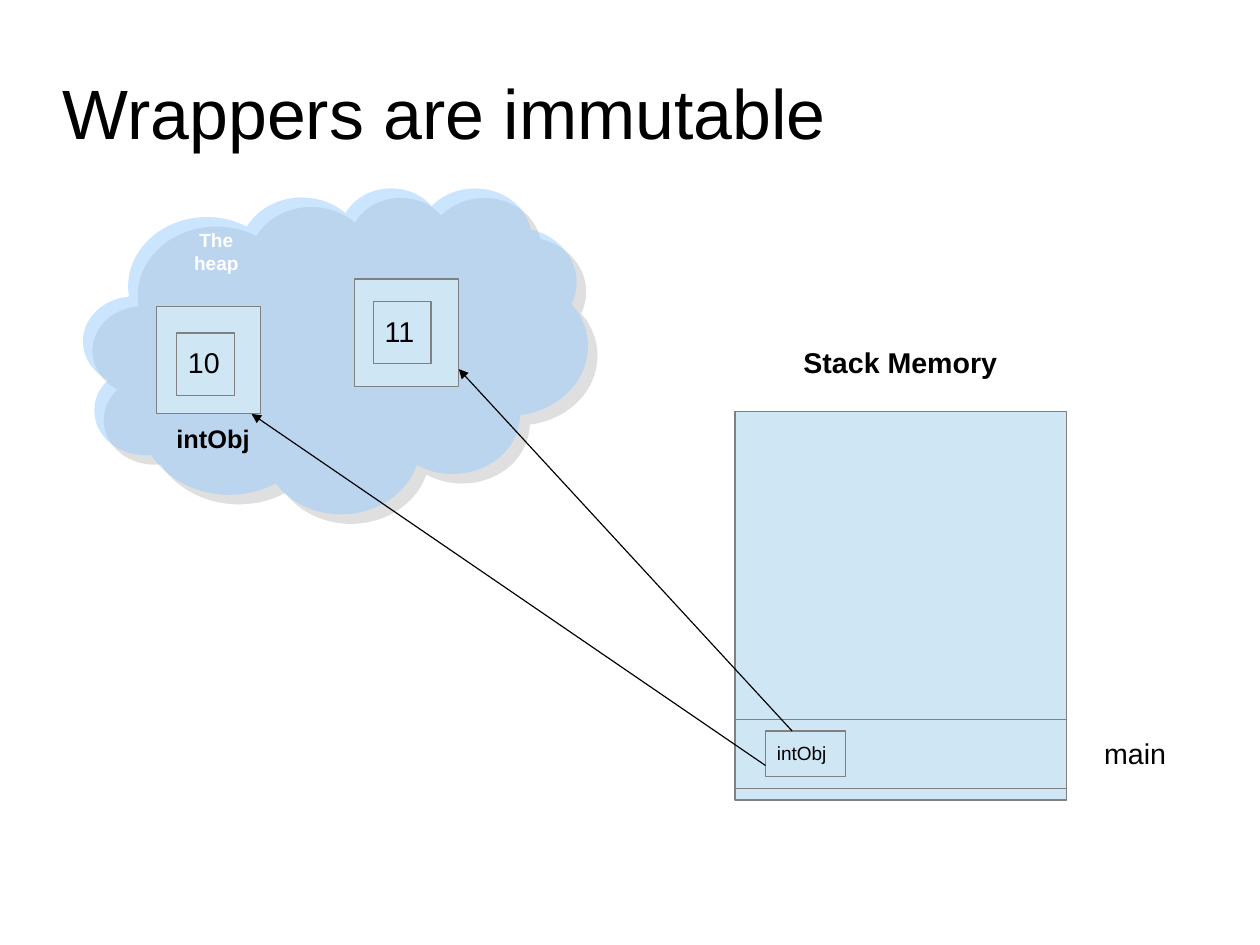
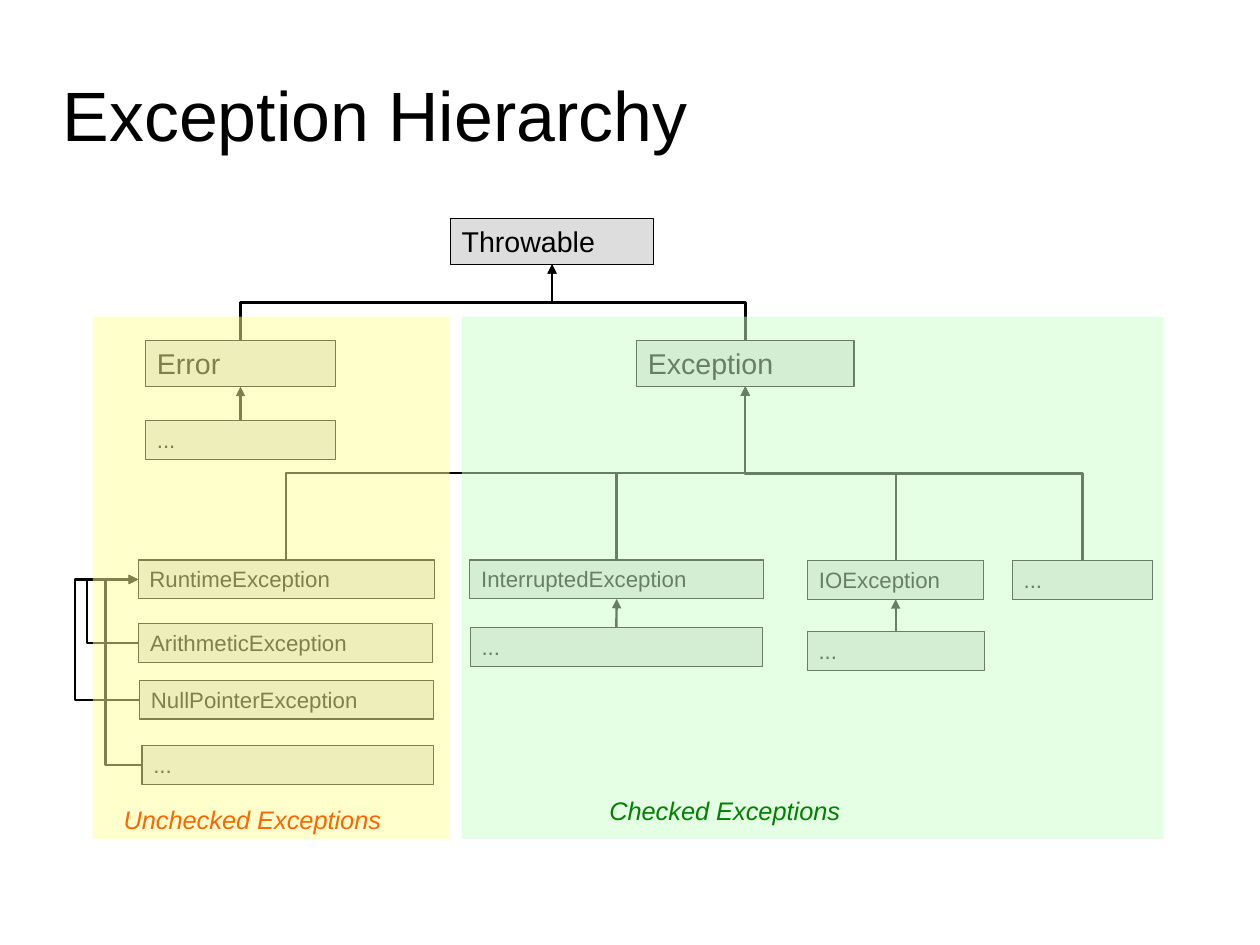
from dataclasses import dataclass

from lxml.etree import SubElement
from pptx import Presentation
from pptx.dml.color import RGBColor
from pptx.enum.shapes import MSO_CONNECTOR, MSO_SHAPE
from pptx.enum.text import MSO_ANCHOR, PP_ALIGN
from pptx.oxml.ns import qn
from pptx.util import Pt


@dataclass(frozen=True)
class Theme:
    font: str = "Arial"
    ink: str = "000000"
    white: str = "FFFFFF"
    memory: str = "CFE7F5"
    memory_edge: str = "808080"
    cloud: str = "99CCFF"
    cloud_shadow: str = "C0C0C0"
    class_box: str = "DDDDDD"
    unchecked: str = "FFFF99"
    checked: str = "CCFFCC"
    unchecked_text: str = "FF6600"
    checked_text: str = "008000"
    title: int = 44
    large: int = 18
    label: int = 16
    medium: int = 14
    small: int = 12
    thin: float = 0.75
    thick: float = 1.5
    tight: float = 0.93


THEME = Theme()
INSETS = (7.2, 3.6, 7.2, 3.6)
FLUSH = (0, 3.6, 0, 3.6)

# Content: boxes are (left, top, width, height) in points
SLIDE_SIZE = (793.7, 595.28)
TITLE_BOX = (39.5, 23.5, 714.25, 99.25)

HEAP_CLOUD = (52.5, 118, 317.75, 205.25)
STACK = (463, 259.25, 209, 244.75)
MAIN_FRAME = (463, 453.5, 209, 43.25)
HEAP_OBJECTS = [(98.75, 193), (223.5, 175.75)]
HEAP_OBJECT_SIZE = (65.5, 67.75)
HEAP_VALUES = [("10", (111.25, 209.75)), ("11", (235.25, 189.75))]
HEAP_VALUE_SIZE = (36.25, 39.5)
VARIABLE = ("intObj", (482.25, 460.5, 50.5, 28.75))
REFERENCES = [((482.25, 482.25), (158.5, 260.75)),
              ((499, 460.5), (289, 232.5))]
HEAP_LABELS = [("The heap", (112.25, 140.5, 48, 36), THEME.small, THEME.white),
               ("intObj", (87, 263, 94.5, 26.5), THEME.label, THEME.ink)]
STACK_LABELS = [("Stack Memory", (499, 216, 142, 27.5), True),
                ("main", (688.5, 462.25, 56, 27.5), False)]

LARGE_HEIGHT, SMALL_HEIGHT = 29, 24.5
# key: (text, left, top, width, height)
CLASSES = {
    "throwable": ("Throwable", 283.75, 137.5, 128, LARGE_HEIGHT),
    "error": ("Error", 91.75, 214.5, 119.5, LARGE_HEIGHT),
    "exception": ("Exception", 401, 214.5, 137, LARGE_HEIGHT),
    "error_more": ("...", 91.75, 264.75, 119.5, SMALL_HEIGHT),
    "runtime": ("RuntimeException", 87, 352.75, 186.5, SMALL_HEIGHT),
    "arithmetic": ("ArithmeticException", 87.5, 392.75, 185, SMALL_HEIGHT),
    "null_pointer": ("NullPointerException", 88, 428.5, 185, SMALL_HEIGHT),
    "runtime_more": ("...", 89.5, 469.75, 183.5, SMALL_HEIGHT),
    "interrupted": ("InterruptedException", 296, 352.75, 185, SMALL_HEIGHT),
    "interrupted_more": ("...", 296.25, 395.25, 184, SMALL_HEIGHT),
    "io": ("IOException", 508.75, 353, 111, SMALL_HEIGHT),
    "io_more": ("...", 508.5, 398, 111.5, SMALL_HEIGHT),
    "exception_more": ("...", 637.75, 353, 88.5, SMALL_HEIGHT),
}
TREE_LINKS = [("error", "throwable"), ("exception", "throwable"),
              ("runtime", "exception"), ("interrupted", "exception"),
              ("io", "exception"), ("exception_more", "exception")]
DIRECT_LINKS = [("error_more", "error"), ("interrupted_more", "interrupted"),
                ("io_more", "io")]
# subclass of RuntimeException: x of the lane its arrow runs along
SIDE_LANES = {"arithmetic": 55.5, "null_pointer": 46.75, "runtime_more": 66.5}
PANELS = [((58.5, 199.5, 224.75, 329), THEME.unchecked),
          ((291, 199.5, 442, 329), THEME.checked)]
PANEL_LABELS = [
    ("Checked Exceptions", (376.75, 497.5, 232.5, 26.5), THEME.checked_text),
    ("Unchecked Exceptions", (70.75, 503.25, 232.5, 26.5), THEME.unchecked_text),
]


# Drawing helpers
def points(values):
    return [Pt(value) for value in values]


def write(shape, text, size, color=THEME.ink, insets=INSETS, wrap=True,
          anchor=MSO_ANCHOR.TOP, align=PP_ALIGN.LEFT, spacing=None,
          bold=False, italic=False):
    frame = shape.text_frame
    frame.word_wrap = wrap
    frame.vertical_anchor = anchor
    (frame.margin_left, frame.margin_top,
     frame.margin_right, frame.margin_bottom) = points(insets)
    paragraph = frame.paragraphs[0]
    paragraph.text = text
    paragraph.alignment = align
    paragraph.line_spacing = spacing
    font = paragraph.font
    font.name, font.size, font.bold, font.italic = THEME.font, Pt(size), bold, italic
    font.color.rgb = RGBColor.from_string(color)


def add_label(slide, text, box, size, **style):
    write(slide.shapes.add_textbox(*points(box)), text, size, **style)


def add_filled(slide, box, fill, edge=None, alpha=None, kind=MSO_SHAPE.RECTANGLE):
    shape = slide.shapes.add_shape(kind, *points(box))
    shape.shadow.inherit = False
    shape.fill.solid()
    shape.fill.fore_color.rgb = RGBColor.from_string(fill)
    if alpha:
        color = shape._element.spPr.find(qn("a:solidFill"))[0]
        SubElement(color, qn("a:alpha"), val=str(alpha * 1000))
    if edge:
        shape.line.color.rgb = RGBColor.from_string(edge)
        shape.line.width = Pt(THEME.thin)
    else:
        shape.line.fill.background()
    return shape


def add_arrow(slide, start, end, width, kind=MSO_CONNECTOR.STRAIGHT):
    arrow = slide.shapes.add_connector(kind, *points(start + end))
    arrow.line.color.rgb = RGBColor.from_string(THEME.ink)
    arrow.line.width = Pt(width)
    SubElement(arrow.line._get_or_add_ln(), qn("a:tailEnd"), type="triangle")
    SubElement(arrow._element.spPr, qn("a:effectLst"))
    return arrow


def add_elbow(slide, corner, size, turn, bend=0.5):
    """Draw a bent arrow in an unturned box, then apply rotation and flips."""
    opposite = (corner[0] + size[0], corner[1] + size[1])
    arrow = add_arrow(slide, corner, opposite, THEME.thick, MSO_CONNECTOR.ELBOW)
    properties = arrow._element.spPr
    for name, value in turn.items():
        properties.find(qn("a:xfrm")).set(name, value)
    adjustments = properties.find(qn("a:prstGeom")).find(qn("a:avLst"))
    SubElement(adjustments, qn("a:gd"), name="adj1",
               fmla=f"val {round(bend * 100000)}")


def add_titled_slide(deck, title, top_inset=0):
    slide = deck.slides.add_slide(deck.slide_layouts[6])
    add_label(slide, title, TITLE_BOX, THEME.title, insets=(0, top_inset, 0, 0),
              anchor=MSO_ANCHOR.MIDDLE, spacing=THEME.tight)
    return slide


# Slide 1: heap and stack
def build_wrappers(deck):
    slide = add_titled_slide(deck, "Wrappers are immutable")

    def add_memory(box):
        return add_filled(slide, box, THEME.memory, THEME.memory_edge)

    cloud = add_filled(slide, HEAP_CLOUD, THEME.cloud, alpha=50, kind=MSO_SHAPE.CLOUD)
    effects = cloud._element.spPr.find(qn("a:effectLst"))
    shadow = SubElement(effects, qn("a:outerShdw"), dist=str(Pt(8.5)),
                        dir="2700000", algn="ctr", rotWithShape="0")
    shade = SubElement(shadow, qn("a:srgbClr"), val=THEME.cloud_shadow)
    SubElement(shade, qn("a:alpha"), val="50000")

    for text, box, size, color in HEAP_LABELS:
        add_label(slide, text, box, size, color=color, insets=FLUSH,
                  align=PP_ALIGN.CENTER, bold=True)
    for box in [STACK, MAIN_FRAME] + [at + HEAP_OBJECT_SIZE for at in HEAP_OBJECTS]:
        add_memory(box)
    for text, at in HEAP_VALUES:
        write(add_memory(at + HEAP_VALUE_SIZE), text, THEME.large, wrap=False,
              anchor=MSO_ANCHOR.MIDDLE, spacing=THEME.tight)
    name, box = VARIABLE
    write(add_memory(box), name, THEME.small, anchor=MSO_ANCHOR.MIDDLE,
          spacing=THEME.tight)
    for text, box, bold in STACK_LABELS:
        add_label(slide, text, box, THEME.large, spacing=THEME.tight, bold=bold)
    for start, end in REFERENCES:
        add_arrow(slide, start, end, THEME.thin)


# Slide 2: class tree
def top_middle(key):
    _, left, top, width, _ = CLASSES[key]
    return left + width / 2, top


def bottom_middle(key):
    x, top = top_middle(key)
    return x, top + CLASSES[key][4]


def left_middle(key):
    _, left, top, _, height = CLASSES[key]
    return left, top + height / 2


def build_hierarchy(deck):
    slide = add_titled_slide(deck, "Exception Hierarchy", top_inset=3)
    boxes = {}
    for key, (text, *box) in CLASSES.items():
        boxes[key] = add_filled(slide, box, THEME.class_box, THEME.ink)
        size = THEME.large if box[3] == LARGE_HEIGHT else THEME.medium
        write(boxes[key], text, size)

    # Arrows up the tree: vertical, across, vertical
    for child, parent in TREE_LINKS:
        (x1, y1), (x2, y2) = top_middle(child), bottom_middle(parent)
        rise, run = y1 - y2, abs(x2 - x1)
        corner = ((x1 + x2 - rise) / 2, (y1 + y2 - run) / 2)
        turn = ({"rot": "5400000", "flipH": "1", "flipV": "1"} if x1 < x2
                else {"rot": "16200000", "flipV": "1"})
        add_elbow(slide, corner, (rise, run), turn)

    # Arrows around the left side into RuntimeException
    x2, y2 = left_middle("runtime")
    for child, lane in SIDE_LANES.items():
        x1, y1 = left_middle(child)
        add_elbow(slide, (x2, y2), (x1 - x2, y1 - y2), {"rot": "10800000"},
                  bend=(x1 - lane) / (x1 - x2))

    for child, parent in DIRECT_LINKS:
        arrow = add_arrow(slide, top_middle(child), bottom_middle(parent), THEME.thick)
        arrow.begin_connect(boxes[child], 0)
        arrow.end_connect(boxes[parent], 2)

    # Translucent panels over the tree
    for box, color in PANELS:
        add_filled(slide, box, color, alpha=50)
    for text, box, color in PANEL_LABELS:
        add_label(slide, text, box, THEME.label, color=color, italic=True)


def main():
    deck = Presentation()
    deck.slide_width, deck.slide_height = points(SLIDE_SIZE)
    build_wrappers(deck)
    build_hierarchy(deck)
    deck.save("out.pptx")


if __name__ == "__main__":
    main()
